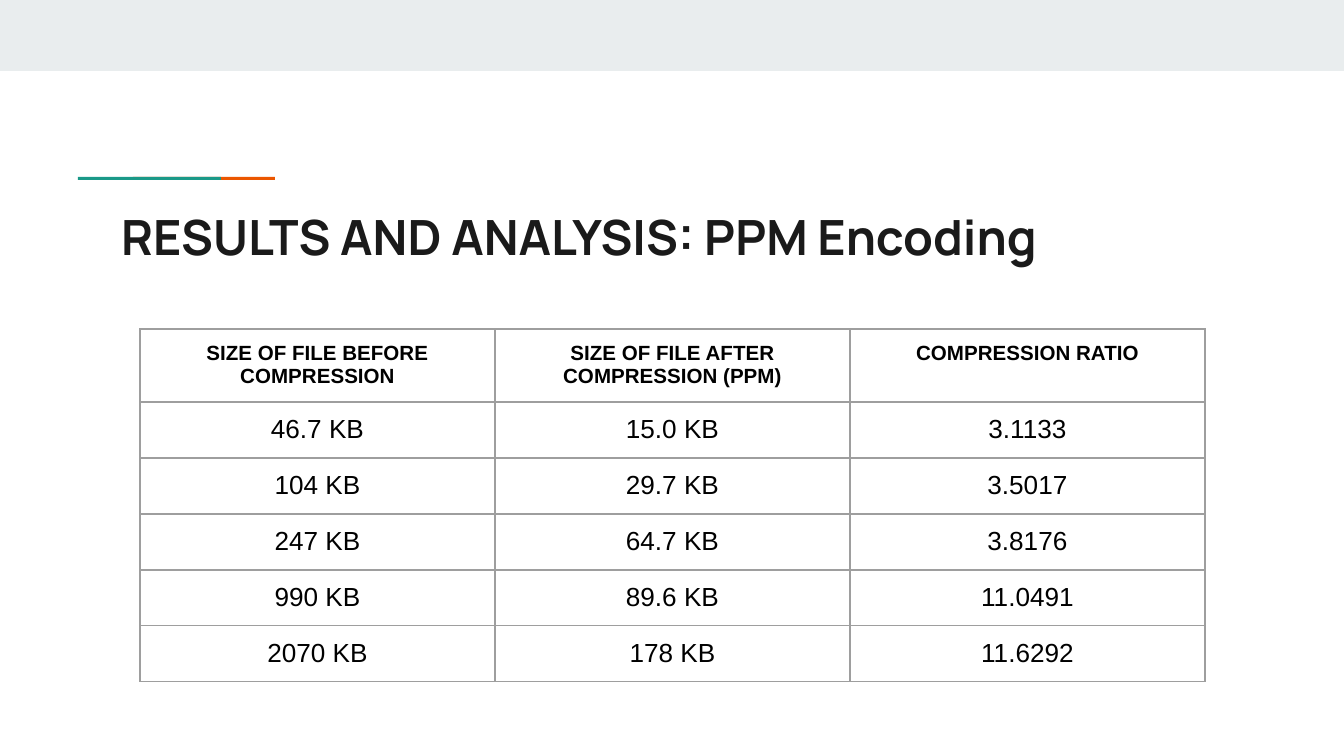
from lxml import etree
from pptx import Presentation
from pptx import util as u
from pptx.dml.color import RGBColor
from pptx.enum import shapes, text
from pptx.oxml import ns

SCALE = 914400 / 134.4
PAD = 13
BAND = RGBColor(0xE9, 0xED, 0xEE)
TEAL = RGBColor(0x1A, 0x99, 0x88)
ORANGE = RGBColor(0xEB, 0x56, 0x00)
INK = RGBColor(0x1A, 0x1A, 0x1A)
BLACK = RGBColor(0, 0, 0)
GREY = RGBColor(0x9E, 0x9E, 0x9E)

ROWS = [
    ("SIZE OF FILE BEFORE COMPRESSION", "SIZE OF FILE AFTER COMPRESSION (PPM)",
     "COMPRESSION RATIO"),
    ("46.7 KB", "15.0 KB", "3.1133"),
    ("104 KB", "29.7 KB", "3.5017"),
    ("247 KB", "64.7 KB", "3.8176"),
    ("990 KB", "89.6 KB", "11.0491"),
    ("2070 KB", "178 KB", "11.6292"),
]


def px(n):
    return u.Emu(round(n * SCALE))


def style(para, font, size, color, bold):
    for run in para.runs:
        run.font.name = font
        run.font.size = u.Pt(size)
        run.font.bold = bold
        run.font.color.rgb = color


def pad(box):
    box.margin_left = box.margin_right = px(PAD)
    box.margin_top = box.margin_bottom = px(PAD)


def add_bar(slide, x, y, w, h, color):
    bar = slide.shapes.add_shape(
        shapes.MSO_SHAPE.RECTANGLE, px(x), px(y), px(w), px(h))
    bar.shadow.inherit = False
    bar.fill.solid()
    bar.fill.fore_color.rgb = color
    bar.line.fill.background()


def set_title(slide, words):
    title = slide.shapes.title
    title.left, title.top = px(108), px(194)
    title.width, title.height = px(1130), px(79)
    frame = title.text_frame
    frame.text = words
    frame.word_wrap = True
    frame.auto_size = text.MSO_AUTO_SIZE.NONE
    frame.vertical_anchor = text.MSO_ANCHOR.TOP
    pad(frame)
    para = frame.paragraphs[0]
    para.alignment = text.PP_ALIGN.LEFT
    para.line_spacing = 1.0
    style(para, "Manrope", 26, INK, True)


def add_edges(cell):
    props = cell._tc.get_or_add_tcPr()
    for i, side in enumerate(("lnL", "lnR", "lnT", "lnB")):
        line = etree.Element(ns.qn("a:" + side), w=str(u.Pt(0.75)))
        fill = etree.SubElement(line, ns.qn("a:solidFill"))
        etree.SubElement(fill, ns.qn("a:srgbClr"), val=str(GREY))
        props.insert(i, line)


def fill_cell(cell, words, head):
    cell.fill.background()
    pad(cell)
    cell.text = words
    para = cell.text_frame.paragraphs[0]
    para.alignment = text.PP_ALIGN.CENTER
    style(para, "Arial", 11 if head else 14, BLACK, head)
    add_edges(cell)


def add_grid(slide, x, y, col, head, row):
    count = len(ROWS[0])
    high = head + row * (len(ROWS) - 1)
    table = slide.shapes.add_table(
        len(ROWS), count, px(x), px(y), px(col * count), px(high)).table
    table.horz_banding = False
    for c in table.columns:
        c.width = px(col)
    for r, words in enumerate(ROWS):
        table.rows[r].height = px(row if r else head)
        for c, word in enumerate(words):
            fill_cell(table.cell(r, c), word, r == 0)


def main():
    deck = Presentation()
    deck.slide_width, deck.slide_height = px(1344), px(756)
    slide = deck.slides.add_slide(deck.slide_layouts[5])
    add_bar(slide, 0, 0, 1344, 71, BAND)
    add_bar(slide, 133, 177, 142, 3, ORANGE)
    add_bar(slide, 78, 177, 143, 3, TEAL)
    set_title(slide, "RESULTS AND ANALYSIS: PPM Encoding")
    add_grid(slide, 140, 329, 355, 73, 56)
    deck.save("out.pptx")


if __name__ == "__main__":
    main()
